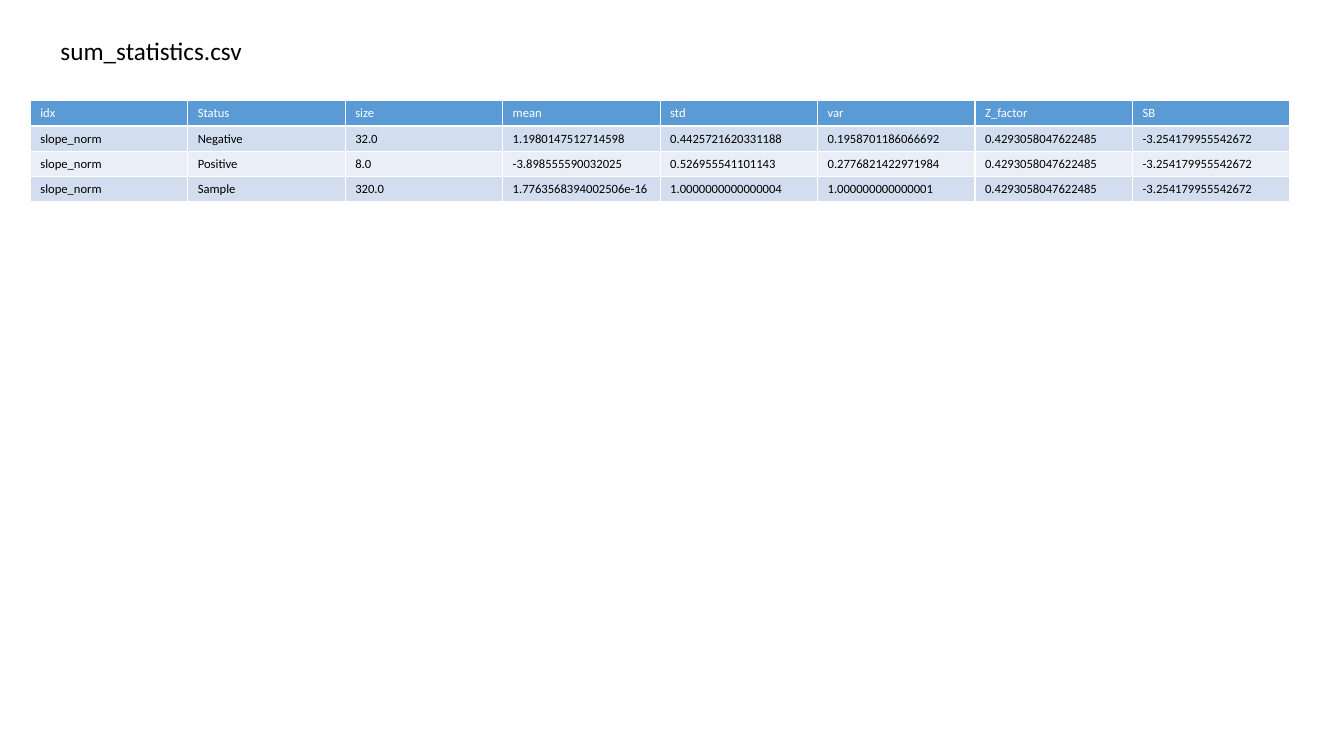
from pptx import Presentation
from pptx.dml.color import RGBColor
from pptx.enum.text import MSO_ANCHOR, MSO_AUTO_SIZE, PP_ALIGN
from pptx.util import Pt

TOP = MSO_ANCHOR.TOP
GROW = MSO_AUTO_SIZE.SHAPE_TO_FIT_TEXT
LEFT = PP_ALIGN.LEFT
TITLE_ONLY = 5

COLORS = {
    "text": "000000",
    "header_text": "FFFFFF",
    "header": "5B9BD5",
    "odd_row": "D2DEEF",
    "even_row": "EAEFF7",
}

Z_FACTOR = "0.4293058047622485"
SB = "-3.254179955542672"
STATISTICS = [
    ["idx", "Status", "size", "mean", "std", "var", "Z_factor", "SB"],
    ["slope_norm", "Negative", "32.0", "1.1980147512714598",
     "0.4425721620331188", "0.1958701186066692", Z_FACTOR, SB],
    ["slope_norm", "Positive", "8.0", "-3.898555590032025",
     "0.526955541101143", "0.2776821422971984", Z_FACTOR, SB],
    ["slope_norm", "Sample", "320.0", "1.7763568394002506e-16",
     "1.0000000000000004", "1.000000000000001", Z_FACTOR, SB],
]


def style_text(paragraph, size, color):
    paragraph.alignment = LEFT
    paragraph.font.name = "Calibri"
    paragraph.font.size = Pt(size)
    paragraph.font.bold = False
    paragraph.font.color.rgb = RGBColor.from_string(COLORS[color])


prs = Presentation()
prs.slide_width, prs.slide_height = Pt(960), Pt(540)
slide = prs.slides.add_slide(prs.slide_layouts[TITLE_ONLY])

file_title = slide.shapes.title
file_title.left, file_title.top = Pt(36), Pt(21.6)
file_title.width, file_title.height = Pt(144), Pt(36)
title_frame = file_title.text_frame
title_frame.text = "sum_statistics.csv"
title_frame.word_wrap = False
title_frame.auto_size = GROW
title_frame.vertical_anchor = TOP
style_text(title_frame.paragraphs[0], 18, "text")

statistics = slide.shapes.add_table(
    len(STATISTICS), len(STATISTICS[0]), Pt(21.6), Pt(72), Pt(900), Pt(21.6)
).table

for row, values in enumerate(STATISTICS):
    if row == 0:
        fill, text_color = "header", "header_text"
    else:
        fill, text_color = "odd_row" if row % 2 else "even_row", "text"
    for column, value in enumerate(values):
        cell = statistics.cell(row, column)
        cell.text = value
        cell.fill.solid()
        cell.fill.fore_color.rgb = RGBColor.from_string(COLORS[fill])
        style_text(cell.text_frame.paragraphs[0], 9, text_color)

prs.save("out.pptx")
